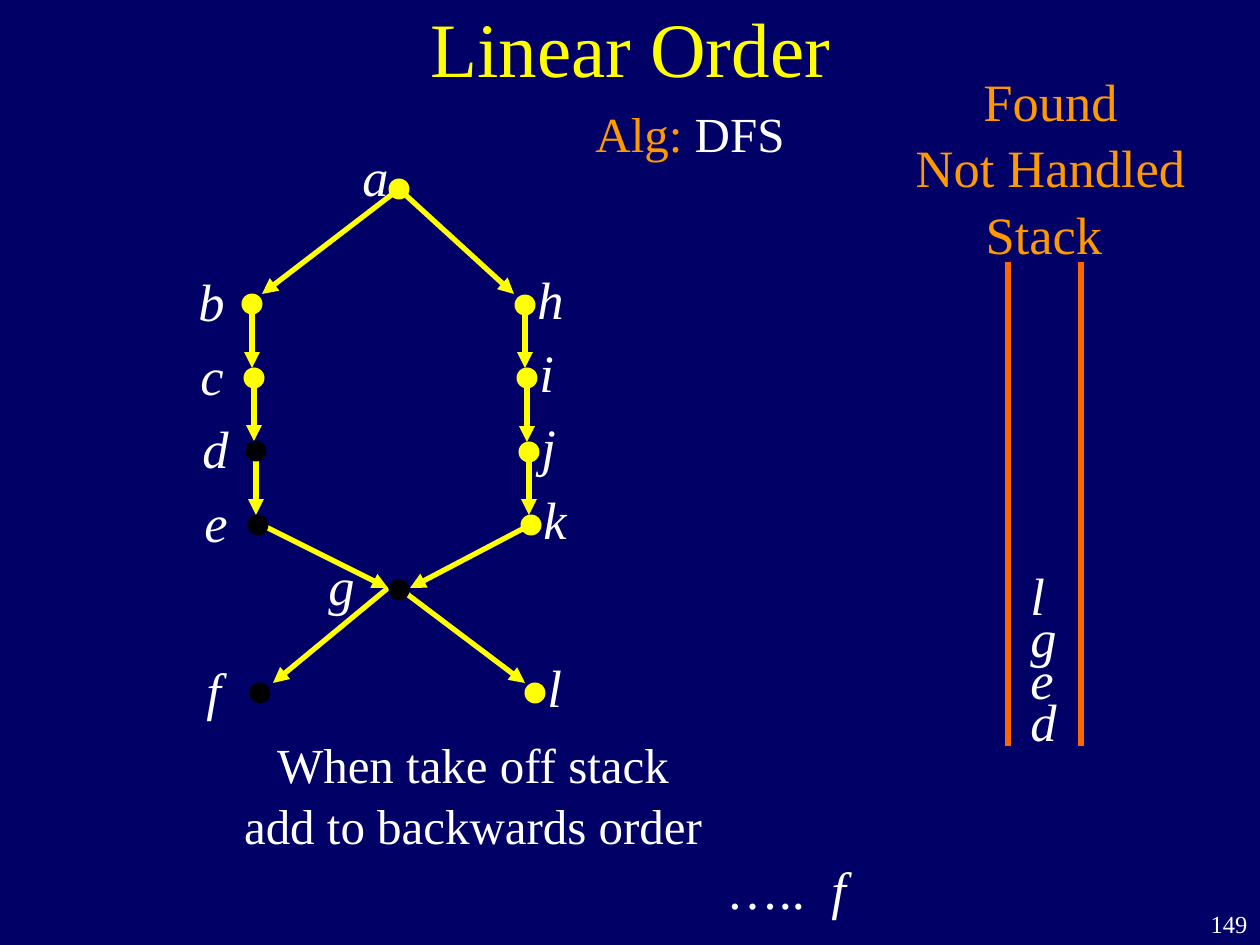
from dataclasses import dataclass

from lxml import etree
from pptx import Presentation
from pptx import util as u
from pptx.dml.color import RGBColor
from pptx.enum import shapes, text
from pptx.oxml.ns import qn

PX = 914400 / 126


@dataclass(frozen=True)
class Theme:
    font: str = "Times New Roman"
    ground: str = "000066"
    accent: str = "FFFF00"
    handled: str = "000000"
    body: str = "FFFFFF"
    heading: str = "FF9900"
    rail: str = "FF6600"
    title_size: int = 44
    label_size: int = 30
    note_size: int = 28
    number_size: int = 14
    line_width: int = 3
    leading: float = 1.05


THEME = Theme()
DOT = 21
LEFT_LABEL = (-66, -44)
RIGHT_LABEL = (0, -47)

NODES = {
    "a": (399, 189, (-49, -54)),
    "b": (252, 304, LEFT_LABEL),
    "c": (254, 378, LEFT_LABEL),
    "d": (256, 451, LEFT_LABEL),
    "e": (258, 525, LEFT_LABEL),
    "f": (260, 693, LEFT_LABEL),
    "g": (399, 590, (-83, -46)),
    "h": (525, 305, RIGHT_LABEL),
    "i": (527, 378, RIGHT_LABEL),
    "j": (529, 452, RIGHT_LABEL),
    "k": (531, 525, RIGHT_LABEL),
    "l": (535, 693, RIGHT_LABEL),
}
HANDLED = "defg"
CHAINS = ("bcde", "hijk")
SLANTED_EDGES = [
    (399, 189, 262, 294),
    (399, 189, 514, 294),
    (530, 525, 410, 588),
    (262, 525, 388, 588),
    (388, 588, 273, 683),
    (399, 588, 525, 683),
]
STACK = "lged"


def px(*lengths):
    return [u.Emu(round(length * PX)) for length in lengths]


def rgb(value):
    return RGBColor.from_string(value)


def apply(target, **values):
    for name, value in values.items():
        setattr(target, name, value)


def style(font, size, color, italic=False):
    apply(font, name=THEME.font, size=u.Pt(size), italic=italic, bold=False)
    font.color.rgb = rgb(color)


def add_text(slide, box, pieces, size, align=text.PP_ALIGN.LEFT, tab=None, leading=THEME.leading):
    frame = slide.shapes.add_textbox(*px(*box)).text_frame
    apply(frame, word_wrap=False, auto_size=text.MSO_AUTO_SIZE.SHAPE_TO_FIT_TEXT)
    paragraph = frame.paragraphs[0]
    if tab:
        stops = etree.SubElement(paragraph._p.get_or_add_pPr(), qn("a:tabLst"))
        etree.SubElement(stops, qn("a:tab"), pos=str(px(tab)[0]), algn="l")
    apply(paragraph, alignment=align, line_spacing=leading)
    style(paragraph.font, size, pieces[0][1])
    for words, color, italic in pieces:
        for index, line in enumerate(words.split("\n")):
            if index:
                paragraph.add_line_break()
            run = paragraph.add_run()
            run.text = line
            style(run.font, size, color, italic)


def add_letter(slide, letter, left, top):
    add_text(slide, (left, top, 40 if letter in "fijl" else 51, 76),
             [(letter, THEME.body, True)], THEME.label_size)


def add_line(slide, ends, color, arrow=False):
    line = slide.shapes.add_connector(shapes.MSO_CONNECTOR.STRAIGHT, *px(*ends))
    line.line.color.rgb = rgb(color)
    line.line.width = u.Pt(THEME.line_width)
    if arrow:
        etree.SubElement(line.line._get_or_add_ln(), qn("a:tailEnd"), type="triangle")
    etree.SubElement(line._element.spPr, qn("a:effectLst"))


def add_dot(slide, x, y, color):
    dot = slide.shapes.add_shape(shapes.MSO_SHAPE.OVAL,
                                 *px(x - DOT / 2, y - DOT / 2, DOT, DOT))
    dot.shadow.inherit = False
    dot.fill.solid()
    dot.fill.fore_color.rgb = rgb(color)
    dot.line.fill.background()


def set_title(slide, words):
    title = slide.shapes.title
    left, top, width, height = px(95, -32, 1071, 158)
    apply(title, left=left, top=top, width=width, height=height)
    frame = title.text_frame
    frame.text = words
    apply(frame, vertical_anchor=text.MSO_ANCHOR.MIDDLE, word_wrap=True)
    frame.paragraphs[0].alignment = text.PP_ALIGN.CENTER
    style(frame.paragraphs[0].runs[0].font, THEME.title_size, THEME.accent)


def draw_graph(slide):
    for chain in CHAINS:
        for source, target in zip(chain, chain[1:]):
            x, y, _ = NODES[source]
            add_line(slide, (x, y, x, NODES[target][1] - 10), THEME.accent, arrow=True)
    for ends in SLANTED_EDGES:
        add_line(slide, ends, THEME.accent, arrow=True)
    for letter, (x, y, (dx, dy)) in NODES.items():
        add_letter(slide, letter, x + dx, y + dy)
        add_dot(slide, x, y, THEME.handled if letter in HANDLED else THEME.accent)


def draw_stack(slide):
    add_text(slide, (903, 60, 295, 202), [("Found\nNot Handled\nStack ", THEME.heading, False)],
             THEME.label_size, text.PP_ALIGN.CENTER)
    for x in (1008, 1081):
        add_line(slide, (x, 262, x, 746), THEME.rail)
    for level, letter in enumerate(STACK):
        add_letter(slide, letter, 1018, 554 + 42 * level)


def main():
    deck = Presentation()
    deck.slide_width, deck.slide_height = px(1260, 945)
    slide = deck.slides.add_slide(deck.slide_layouts[5])
    slide.background.fill.solid()
    slide.background.fill.fore_color.rgb = rgb(THEME.ground)

    set_title(slide, "Linear Order")
    draw_graph(slide)
    draw_stack(slide)
    add_text(slide, (583, 94, 214, 72),
             [("Alg:", THEME.heading, False), (" DFS", THEME.body, False)],
             THEME.note_size, text.PP_ALIGN.CENTER)
    add_text(slide, (231, 725, 484, 130),
             [("When take off stack\nadd to backwards order", THEME.body, False)],
             THEME.note_size, text.PP_ALIGN.CENTER)
    add_text(slide, (714, 848, 145, 76),
             [("…..\t", THEME.body, False), ("f", THEME.body, True)],
             THEME.label_size, tab=105)
    add_text(slide, (1197, 903, 63, 42), [("149", THEME.body, False)],
             THEME.number_size, text.PP_ALIGN.RIGHT, leading=1.0)
    deck.save("out.pptx")


if __name__ == "__main__":
    main()
